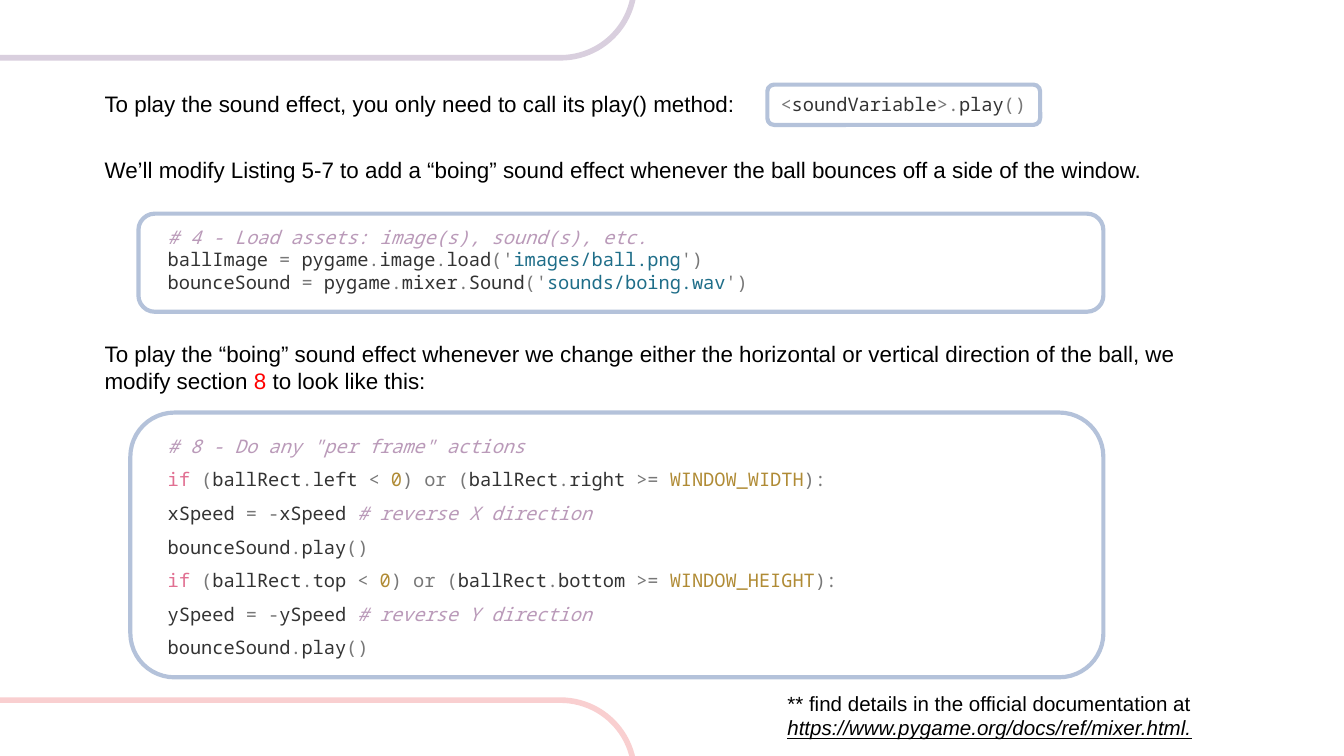
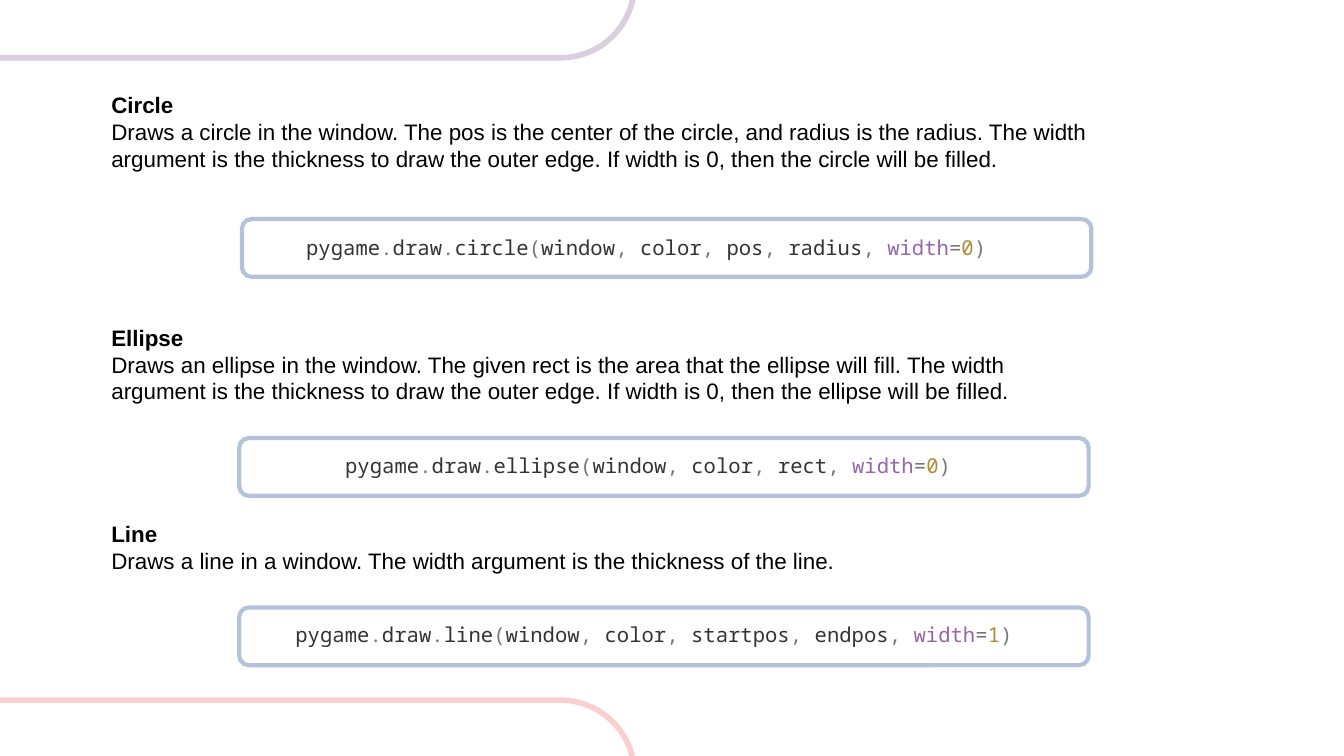
from itertools import groupby

from pptx import Presentation
from pptx.dml.color import RGBColor
from pptx.enum.shapes import MSO_SHAPE
from pptx.enum.text import MSO_AUTO_SIZE
from pptx.util import Inches, Pt

BAND_TOP, BAND_BOTTOM, PANEL = "D9CFDE", "F9CFD0", "B4C2DA"
BLACK, RED = "000000", "FF0000"
CODE = {
    "name": "333333",
    "mark": "777777",
    "comment": "BA9AB9",
    "string": "1F6E89",
    "keyword": "E17092",
    "value": "B08B35",
    "argument": "9466AA",
}

SOUND_LOAD = [
    "# 4 - Load assets: image(s), sound(s), etc.",
    "ballImage = pygame.image.load('images/ball.png')",
    "bounceSound = pygame.mixer.Sound('sounds/boing.wav')",
]
FRAME_ACTIONS = [
    '# 8 - Do any "per frame" actions',
    "if (ballRect.left < 0) or (ballRect.right >= WINDOW_WIDTH):",
    "xSpeed = -xSpeed # reverse X direction",
    "bounceSound.play()",
    "if (ballRect.top < 0) or (ballRect.bottom >= WINDOW_HEIGHT):",
    "ySpeed = -ySpeed # reverse Y direction",
    "bounceSound.play()",
]
DRAW_SECTIONS = [
    ((0.73, 0.63, 8.13, 0.71), "Circle",
     "Draws a circle in the window. The pos is the center of the circle, and radius is the radius. "
     "The width argument is the thickness to draw the outer edge. If width is 0, then the circle will be filled.",
     "pygame.draw.circle(window, color, pos, radius, width=0)", (1.07, 1), (0.38, 0.07, 6.56, 0.29)),
    ((0.73, 2.36, 7.55, 0.71), "Ellipse",
     "Draws an ellipse in the window. The given rect is the area that the ellipse will fill. "
     "The width argument is the thickness to draw the outer edge. If width is 0, then the ellipse will be filled.",
     "pygame.draw.ellipse(window, color, rect, width=0)", (1.05, 0.9), (0.69, 0.06, 5.73, 0.29)),
    ((0.73, 3.82, 8.88, 0.5), "Line",
     "Draws a line in a window. The width argument is the thickness of the line.",
     "pygame.draw.line(window, color, startpos, endpos, width=1)", (1.05, 0.7), (0.32, 0.06, 5.73, 0.29)),
]


def rgb(value):
    return RGBColor.from_string(value)


def add_text(s, box, paragraphs, font="Arial", size=12, spacing=None):
    tf = s.shapes.add_textbox(*map(Inches, box)).text_frame
    tf.word_wrap = True
    tf.auto_size = MSO_AUTO_SIZE.SHAPE_TO_FIT_TEXT
    for i, runs in enumerate(paragraphs):
        p = tf.paragraphs[0] if i == 0 else tf.add_paragraph()
        p.line_spacing = spacing
        for text, color, style in runs:
            r = p.add_run()
            r.text = text
            for key, value in {"name": font, "size": Pt(size), **style}.items():
                setattr(r.font, key, value)
            r.font.color.rgb = rgb(color)


def add_outline(s, box, color, width, radius=None):
    sp = s.shapes.add_shape(MSO_SHAPE.ROUNDED_RECTANGLE, *map(Inches, box))
    sp.shadow.inherit = False
    sp.fill.background()
    sp.line.color.rgb = rgb(color)
    sp.line.width = Pt(width)
    if radius is not None:
        sp.adjustments[0] = radius


def is_word(char):
    return char.isalnum() or char == "_"


def token_kind(word):
    if word == "if":
        return "keyword"
    if word == "width":
        return "argument"
    if word.isdigit() or word.isupper():
        return "value"
    return "name" if is_word(word[0]) and word != "or" else "mark"


def code_runs(line):
    code, sign, comment = line.partition("#")
    tokens = []
    for i, part in enumerate(code.split("'")):
        if i % 2:
            tokens += [("mark", "'"), ("string", part), ("mark", "'")]
        else:
            words = ["".join(chars) for _, chars in groupby(part, is_word)]
            tokens += [(token_kind(word), word) for word in words]
    runs = []
    for kind, group in groupby(tokens, lambda token: token[0]):
        runs.append(("".join(text for _, text in group), CODE[kind], {}))
    if sign:
        runs.append((sign + comment, CODE["comment"], {"italic": True}))
    return runs


def code_panel(s, box, inner, lines, size=10, spacing=None):
    dx, dy, width, height = inner
    text_box = (box[0] + dx, box[1] + dy, width, height)
    add_text(s, text_box, [code_runs(line) for line in lines], "Noto Sans Mono", size, spacing)
    add_outline(s, box, PANEL, 2.25)


def draw_section(s, box, title, body, call, offset, inner):
    left, top = box[:2]
    add_text(s, box, [[(title, BLACK, {"bold": True})], [(body, BLACK, {})]])
    panel = (left + offset[0], top + offset[1], 6.32, 0.43)
    code_panel(s, panel, inner, [call], 11)


def new_slide(prs):
    s = prs.slides.add_slide(prs.slide_layouts[6])
    for top, color in ((-0.67, BAND_TOP), (5.21, BAND_BOTTOM)):
        add_outline(s, (-1.43, top, 6.15, 1.1), color, 3, 0.5)
    return s


def sound_slide(prs):
    s = new_slide(prs)
    notes = [
        ((0.68, 0.62, 5.73, 0.3),
         [("To play the sound effect, you only need to call its play() method:", BLACK, {})]),
        ((0.68, 1.11, 8.59, 0.3),
         [("We’ll modify Listing 5-7 to add a “boing” sound effect whenever the ball "
           "bounces off a side of the window.", BLACK, {})]),
        ((0.68, 2.48, 8.28, 0.5),
         [("To play the “boing” sound effect whenever we change either the horizontal or "
           "vertical direction of the ball, we modify section ", BLACK, {}),
          ("8", RED, {}), (" to look like this:", BLACK, {})]),
    ]
    for box, runs in notes:
        add_text(s, box, [runs])
    code_panel(s, (5.71, 0.63, 2.03, 0.3), (0, 0.01, 2.5, 0.27), ["<soundVariable>.play()"])
    code_panel(s, (1.03, 1.59, 7.18, 0.73), (0.12, 0.04, 5.73, 0.61), SOUND_LOAD)
    code_panel(s, (0.97, 3.07, 7.24, 1.97), (0.18, 0.03, 5.73, 1.84), FRAME_ACTIONS, spacing=1.5)
    add_text(s, (5.76, 5.09, 3.99, 0.47), [[
        ("** find details in the official documentation at ", BLACK, {}),
        ("https://www.pygame.org/docs/ref/mixer.html.", BLACK, {"italic": True, "underline": True}),
    ]], size=11)


def draw_slide(prs):
    s = new_slide(prs)
    for section in DRAW_SECTIONS:
        draw_section(s, *section)


def main():
    prs = Presentation()
    prs.slide_width = Inches(10)
    prs.slide_height = Inches(10 * 9 / 16)
    sound_slide(prs)
    draw_slide(prs)
    prs.save("out.pptx")


if __name__ == "__main__":
    main()
